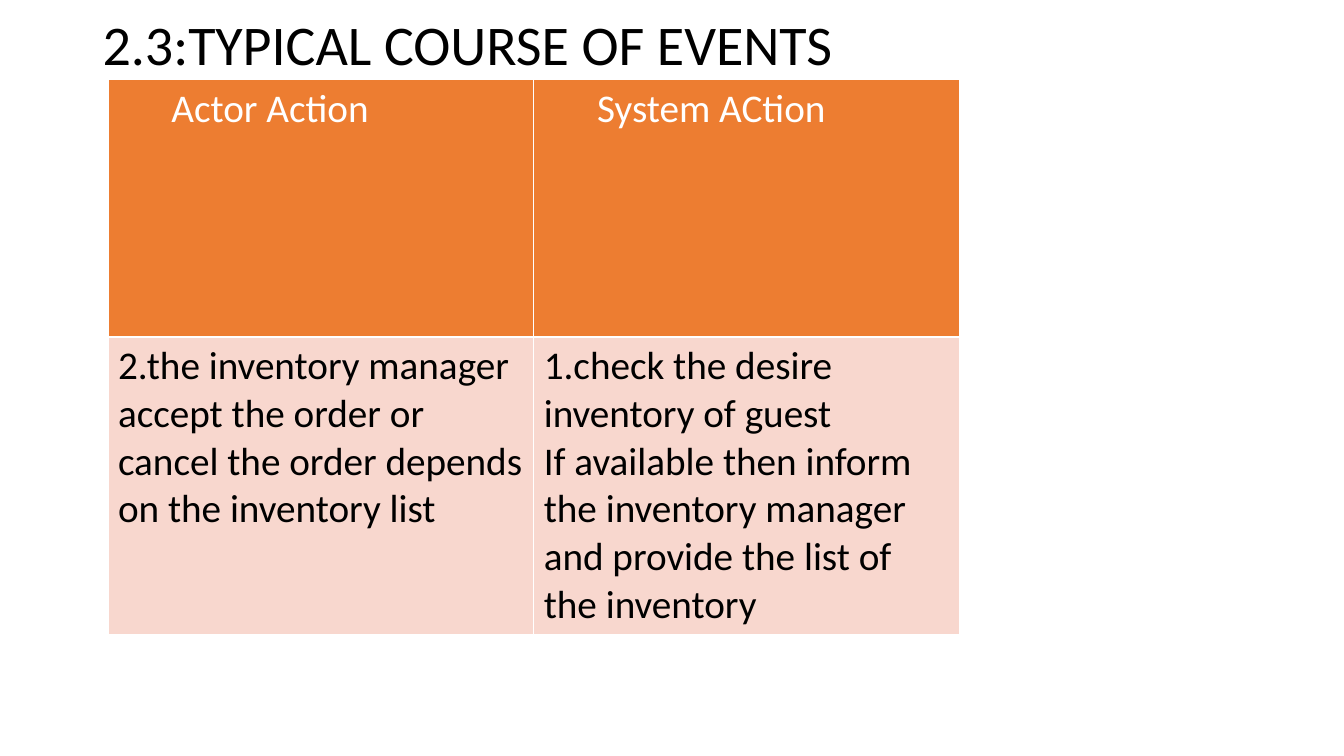
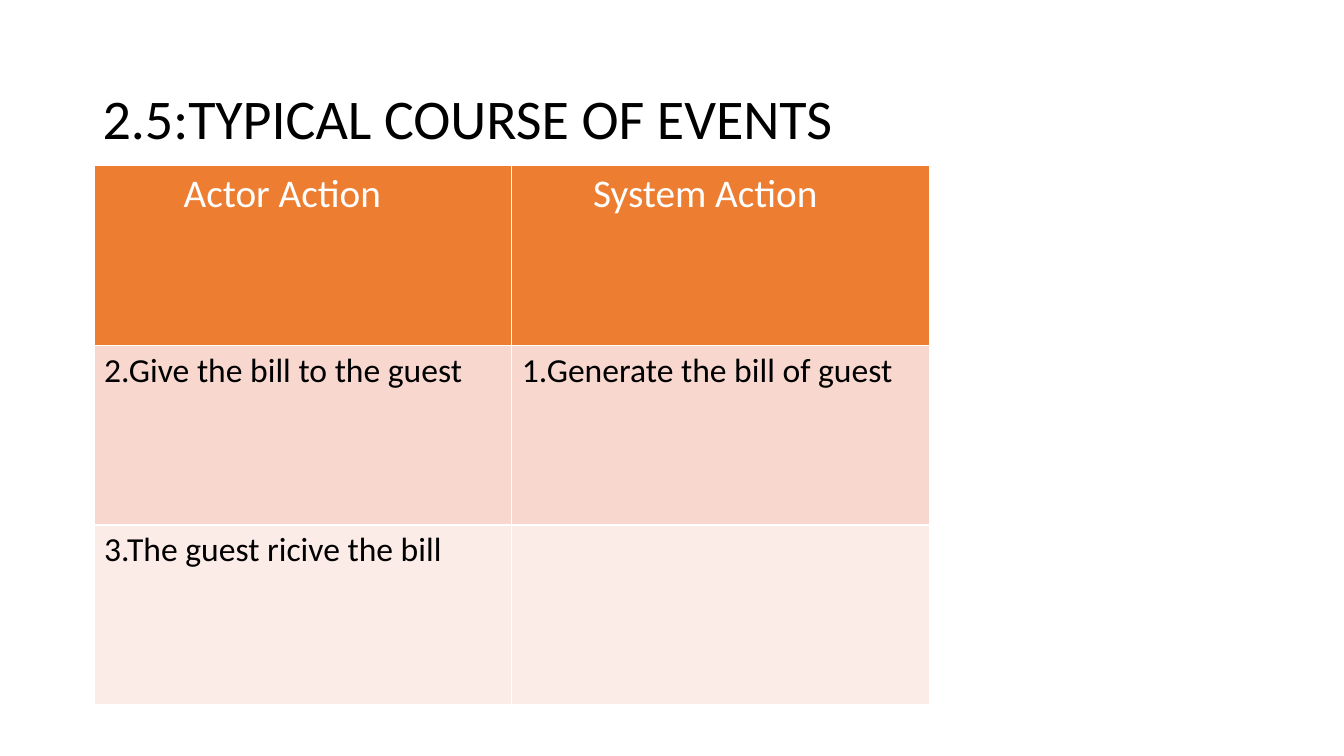
"""Build two slides that set out courses of events as tables."""
from dataclasses import dataclass

from lxml import etree
from pptx import Presentation
from pptx.dml.color import RGBColor
from pptx.enum.text import MSO_ANCHOR, MSO_AUTO_SIZE, PP_ALIGN
from pptx.oxml.ns import qn
from pptx.presentation import Presentation as Deck
from pptx.slide import Slide
from pptx.table import _Cell
from pptx.text.text import _Paragraph
from pptx.util import Cm, Pt

MIDDLE = MSO_ANCHOR.MIDDLE
NO_FIT = MSO_AUTO_SIZE.NONE
LEFT = PP_ALIGN.LEFT
TITLE_ONLY = 5
BORDER_SIDES = ("a:lnL", "a:lnR", "a:lnT", "a:lnB")


@dataclass(frozen=True)
class Theme:
    """Colours, font and type sizes shared by the slides."""

    font: str = "Calibri"
    white: str = "FFFFFF"
    black: str = "000000"
    header: str = "ED7D31"
    bands: tuple[str, ...] = ("F8D7CE", "FCECE8")
    title_size: int = 40
    large_size: int = 28
    body_size: int = 24


@dataclass(frozen=True)
class Heading:
    """A column heading and its left inset in centimetres."""

    text: str
    inset: float


@dataclass(frozen=True)
class EventSlide:
    """The content and measures, in centimetres, of one slide."""

    title: str
    title_top: float
    left: float
    top: float
    column_width: float
    row_heights: tuple[float, ...]
    headings: tuple[Heading, ...]
    rows: tuple[tuple[str, ...], ...]
    body_size: int


THEME = Theme()

EVENT_SLIDES = (
    EventSlide(
        title="2.3:TYPICAL COURSE OF EVENTS",
        title_top=0.03,
        left=2.72,
        top=2.01,
        column_width=10.73,
        row_heights=(6.48, 7.48),
        headings=(Heading("Actor Action", 1.6), Heading("System ACtion", 1.6)),
        rows=((
            "2.the inventory manager accept the order or cancel the order "
            "depends on the inventory list",
            "1.check the desire inventory of guest\n"
            "If available then inform the inventory manager and provide "
            "the list of the inventory",
        ),),
        body_size=THEME.large_size,
    ),
    EventSlide(
        title="2.5:TYPICAL COURSE OF EVENTS",
        title_top=1.88,
        left=2.37,
        top=4.17,
        column_width=10.53,
        row_heights=(4.53,) * 3,
        headings=(Heading("Actor Action", 2.26), Heading("System Action", 2.05)),
        rows=(
            ("2.Give the bill to the guest", "1.Generate the bill of guest"),
            ("3.The guest ricive the bill", ""),
        ),
        body_size=THEME.body_size,
    ),
)


def format_paragraph(paragraph: _Paragraph, size: int, color: str) -> None:
    """Apply the theme font at the given size and colour."""
    values = {"name": THEME.font, "size": Pt(size), "bold": False}
    for name, value in values.items():
        setattr(paragraph.font, name, value)
    paragraph.font.color.rgb = RGBColor.from_string(color)


def add_borders(cell: _Cell) -> None:
    """Draw a thin white line on every side of a cell."""
    properties = cell._tc.get_or_add_tcPr()
    for position, side in enumerate(BORDER_SIDES):
        line = etree.Element(qn(side), w=str(Pt(1)))
        fill = etree.SubElement(line, qn("a:solidFill"))
        etree.SubElement(fill, qn("a:srgbClr"), val=THEME.white)
        properties.insert(position, line)


def fill_cell(cell: _Cell, text: str, size: int, color: str, fill: str) -> None:
    """Write and format one table cell."""
    cell.text = text
    cell.fill.solid()
    cell.fill.fore_color.rgb = RGBColor.from_string(fill)
    add_borders(cell)
    for paragraph in cell.text_frame.paragraphs:
        format_paragraph(paragraph, size, color)


def place_title(slide: Slide, content: EventSlide) -> None:
    """Position and format the title placeholder."""
    title = slide.shapes.title
    box = {
        "left": Cm(2.33),
        "top": Cm(content.title_top),
        "width": Cm(29.21),
        "height": Cm(2.34),
    }
    for name, value in box.items():
        setattr(title, name, value)
    frame = title.text_frame
    frame.text = content.title
    settings = {"vertical_anchor": MIDDLE, "word_wrap": True, "auto_size": NO_FIT}
    for name, value in settings.items():
        setattr(frame, name, value)
    paragraph = frame.paragraphs[0]
    paragraph.alignment = LEFT
    paragraph.line_spacing = 0.9
    format_paragraph(paragraph, THEME.title_size, THEME.black)


def add_event_table(slide: Slide, content: EventSlide) -> None:
    """Add the table of actor and system actions."""
    column_count = len(content.headings)
    table = slide.shapes.add_table(
        len(content.row_heights),
        column_count,
        Cm(content.left),
        Cm(content.top),
        Cm(content.column_width * column_count),
        Cm(sum(content.row_heights)),
    ).table
    for column in table.columns:
        column.width = Cm(content.column_width)
    for row, height in zip(table.rows, content.row_heights):
        row.height = Cm(height)
    for column_index, heading in enumerate(content.headings):
        cell = table.cell(0, column_index)
        fill_cell(cell, heading.text, THEME.large_size, THEME.white, THEME.header)
        cell.margin_left = Cm(heading.inset)
    for row_index, texts in enumerate(content.rows, start=1):
        band = THEME.bands[(row_index - 1) % len(THEME.bands)]
        for column_index, text in enumerate(texts):
            cell = table.cell(row_index, column_index)
            fill_cell(cell, text, content.body_size, THEME.black, band)


def add_event_slide(presentation: Deck, content: EventSlide) -> None:
    """Add one slide with its title and table."""
    slide = presentation.slides.add_slide(presentation.slide_layouts[TITLE_ONLY])
    place_title(slide, content)
    add_event_table(slide, content)


def main() -> None:
    """Build and save the presentation."""
    presentation = Presentation()
    presentation.slide_width = Cm(33.87)
    presentation.slide_height = Cm(19.05)
    for content in EVENT_SLIDES:
        add_event_slide(presentation, content)
    presentation.save("out.pptx")


if __name__ == "__main__":
    main()
